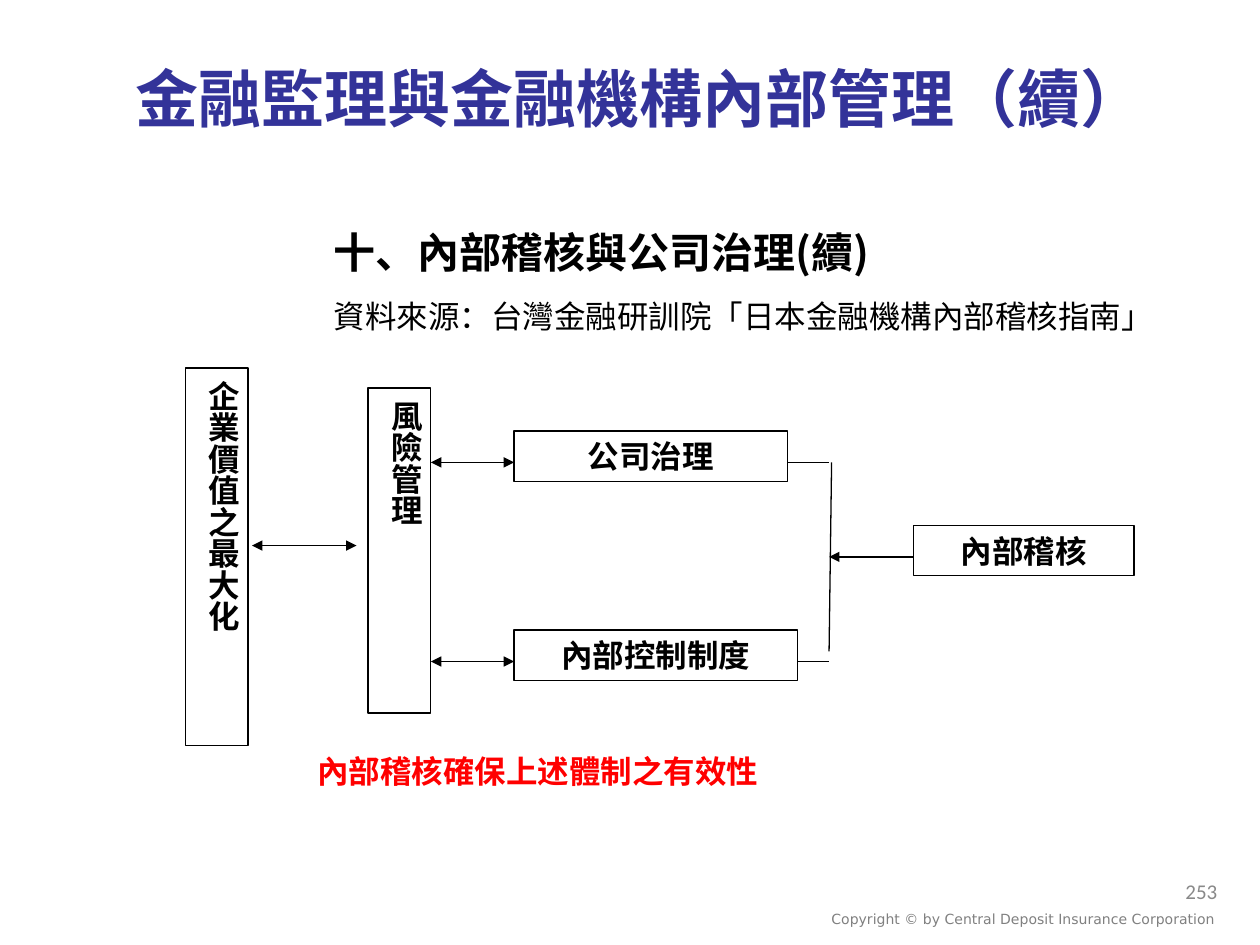
import pptx
import pptx.util
import pptx.dml.color
import pptx.enum.shapes
import pptx.enum.text
import pptx.oxml
import pptx.oxml.ns
from pptx.util import Inches, Pt

ALIGN = pptx.enum.text.PP_ALIGN
BLACK = "000000"
CJK = "Noto Sans CJK SC"

TITLE = "金融監理與金融機構內部管理（續）"
HEADING = "十、內部稽核與公司治理(續)"
CITATION = "資料來源：台灣金融研訓院「日本金融機構內部稽核指南」"
CONCLUSION = "內部稽核確保上述體制之有效性"
PAGE_NUMBER = "253"
COPYRIGHT = "Copyright © by Central Deposit Insurance Corporation"

BOXES = [
    ("企業價值之最大化", 1.47, 2.92, 0.5, 3, True),
    ("風險管理", 2.92, 3.08, 0.5, 2.58, True),
    ("公司治理", 4.08, 3.42, 2.17, 0.4, False),
    ("內部控制制度", 4.08, 5, 2.25, 0.4, False),
    ("內部稽核", 7.25, 4.17, 1.75, 0.4, False),
]
GOVERNANCE_Y, CONTROL_Y, AUDIT_Y, JUNCTION_X = 3.67, 5.25, 4.42, 6.58
LINKS = [
    (2, 4.33, 2.83, 4.33, ("headEnd", "tailEnd")),
    (3.42, GOVERNANCE_Y, 4.08, GOVERNANCE_Y, ("headEnd", "tailEnd")),
    (3.42, CONTROL_Y, 4.08, CONTROL_Y, ("headEnd", "tailEnd")),
    (6.25, GOVERNANCE_Y, JUNCTION_X, GOVERNANCE_Y, ()),
    (6.33, CONTROL_Y, JUNCTION_X, CONTROL_Y, ()),
    (6.6, GOVERNANCE_Y, JUNCTION_X, 5.17, ()),
    (7.25, AUDIT_Y, JUNCTION_X, AUDIT_Y, ("tailEnd",)),
]


def color(value):
    return pptx.dml.color.RGBColor.from_string(value)


def add_child(parent, tag, **attributes):
    child = pptx.oxml.parse_xml(f"<a:{tag} {pptx.oxml.ns.nsdecls('a')}/>")
    for name, value in attributes.items():
        child.set(name, value)
    parent.append(child)


def format_text(paragraph, size, font, fill, bold=False, align=ALIGN.LEFT):
    paragraph.alignment = align
    for run in paragraph.runs:
        run.font.size = Pt(size)
        run.font.bold = bold
        run.font.name = font
        run.font.color.rgb = color(fill)
        add_child(run.font._element, "ea", typeface=CJK)


def add_text(slide, text, place, *style):
    frame = slide.shapes.add_textbox(*map(Inches, place)).text_frame
    frame.word_wrap = True
    frame.text = text
    for paragraph, look in zip(frame.paragraphs, style):
        format_text(paragraph, *look)
    return frame


def add_box(slide, label, left, top, width, height, vertical):
    box = slide.shapes.add_shape(pptx.enum.shapes.MSO_SHAPE.RECTANGLE,
                                 *map(Inches, (left, top, width, height)))
    box.shadow.inherit = False
    box.fill.background()
    box.line.color.rgb = color(BLACK)
    box.line.width = Pt(0.75)
    frame = box.text_frame
    frame.word_wrap = True
    frame.vertical_anchor = pptx.enum.text.MSO_ANCHOR.TOP
    across, along = (0.05, 0.1) if vertical else (0.1, 0.05)
    frame.margin_left = frame.margin_right = Inches(across)
    frame.margin_top = frame.margin_bottom = Inches(along)
    if vertical:
        frame._txBody.bodyPr.set("vert", "eaVert")
    frame.text = label
    format_text(frame.paragraphs[0], 18, "Calibri", BLACK, True, ALIGN.CENTER)


def add_link(slide, x1, y1, x2, y2, arrowheads):
    link = slide.shapes.add_connector(pptx.enum.shapes.MSO_CONNECTOR.STRAIGHT,
                                      *map(Inches, (x1, y1, x2, y2)))
    link.line.color.rgb = color(BLACK)
    link.line.width = Pt(0.75)
    for end in arrowheads:
        add_child(link.line._get_or_add_ln(), end, type="triangle")
    add_child(link._element.spPr, "effectLst")


def main():
    deck = pptx.Presentation()
    deck.slide_width, deck.slide_height = Inches(10), Inches(7.5)
    slide = deck.slides.add_slide(deck.slide_layouts[6])

    add_text(slide, COPYRIGHT, (6.5, 7.18, 3.59, 0.24), (8, "DejaVu Sans", "808080"))
    add_text(slide, TITLE, (0.98, 0.42, 8.47, 1.05), (36, CJK, "333399", True))
    body = add_text(slide, f"{HEADING}\n{CITATION}", (0.83, 1.75, 8.5, 5.08),
                    (24, CJK, BLACK, True), (18, CJK, BLACK))
    for paragraph in body.paragraphs:
        properties = paragraph._p.get_or_add_pPr()
        properties.set("marL", str(Inches(0.21)))
        properties.set("indent", str(Inches(1.51)))
    body.paragraphs[1].space_before = Pt(11.2)
    add_text(slide, PAGE_NUMBER, (7.68, 6.82, 2.08, 0.5),
             (12, "Calibri", "898989", False, ALIGN.RIGHT)
             ).vertical_anchor = pptx.enum.text.MSO_ANCHOR.MIDDLE

    for box in BOXES:
        add_box(slide, *box)
    for link in LINKS:
        add_link(slide, *link)
    add_text(slide, CONCLUSION, (2.42, 5.92, 7.08, 0.86), (18, "Calibri", "FF0000", True))
    deck.save("out.pptx")


if __name__ == "__main__":
    main()
